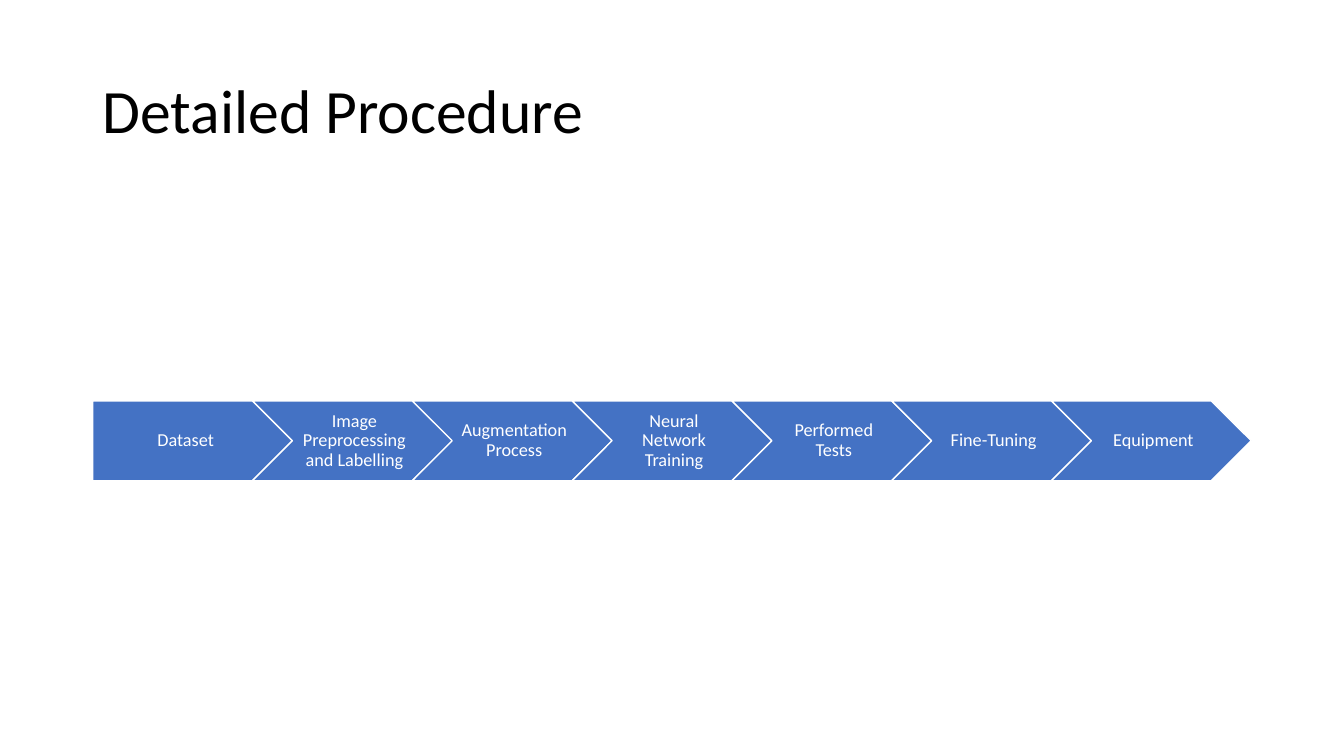
from pptx import Presentation
from pptx.dml.color import RGBColor
from pptx.enum.shapes import MSO_SHAPE
from pptx.enum.text import MSO_ANCHOR, PP_ALIGN
from pptx.util import Inches, Pt

FIRST_STEP, NEXT_STEP = MSO_SHAPE.PENTAGON, MSO_SHAPE.CHEVRON
MIDDLE = MSO_ANCHOR.MIDDLE
LEFT, CENTER = PP_ALIGN.LEFT, PP_ALIGN.CENTER

BLACK = RGBColor(0x00, 0x00, 0x00)
WHITE = RGBColor(0xFF, 0xFF, 0xFF)
BLUE = RGBColor(0x44, 0x72, 0xC4)

SLIDE_WIDTH, SLIDE_HEIGHT = Inches(13.33), Inches(7.5)
MARGIN = Inches(0.92)
CONTENT_WIDTH = SLIDE_WIDTH - 2 * MARGIN

STEPS = [
    "Dataset",
    "Image Preprocessing and Labelling",
    "Augmentation Process",
    "Neural Network Training",
    "Performed Tests",
    "Fine-Tuning",
    "Equipment",
]
STEP_PITCH = 0.8  # share of a step's width from one step to the next
STEP_ASPECT = 0.4  # height of a step as a share of its width
PROCESS_MIDDLE = 0.583  # share of the slide's height


def write_text(shape, text, *, size, color, align=LEFT,
               insets=(0.1, 0.05, 0.1, 0.05)):
    frame = shape.text_frame
    frame.word_wrap = True
    frame.vertical_anchor = MIDDLE
    (frame.margin_left, frame.margin_top,
     frame.margin_right, frame.margin_bottom) = map(Inches, insets)
    paragraph = frame.paragraphs[0]
    paragraph.alignment = align
    paragraph.line_spacing = 0.9
    run = paragraph.add_run()
    run.text = text
    run.font.name = "Calibri"
    run.font.size = Pt(size)
    run.font.color.rgb = color


def add_title(slide, text):
    title = slide.shapes.add_textbox(MARGIN, Inches(0.4), CONTENT_WIDTH, Inches(1.45))
    write_text(title, text, size=44, color=BLACK)


def add_step(slide, outline, left, top, width, height, label, left_inset):
    step = slide.shapes.add_shape(outline, left, top, width, height)
    step.shadow.inherit = False
    step.fill.solid()
    step.fill.fore_color.rgb = BLUE
    step.line.color.rgb = WHITE
    step.line.width = Pt(1)
    write_text(step, label, size=13, color=WHITE, align=CENTER,
               insets=(left_inset, 0.04, 0.02, 0.04))


def add_process(slide, labels):
    """Fill the content width with overlapping arrow steps."""
    width = int(CONTENT_WIDTH / (1 + STEP_PITCH * (len(labels) - 1)))
    height = int(width * STEP_ASPECT)
    top = int(SLIDE_HEIGHT * PROCESS_MIDDLE - height / 2)
    for index, label in enumerate(labels):
        left = int(MARGIN + index * STEP_PITCH * width)
        outline, left_inset = (NEXT_STEP, 0.06) if index else (FIRST_STEP, 0.08)
        add_step(slide, outline, left, top, width, height, label, left_inset)


def main():
    deck = Presentation()
    deck.slide_width, deck.slide_height = SLIDE_WIDTH, SLIDE_HEIGHT
    slide = deck.slides.add_slide(deck.slide_layouts[6])
    add_title(slide, "Detailed Procedure")
    add_process(slide, STEPS)
    deck.save("out.pptx")


if __name__ == "__main__":
    main()
